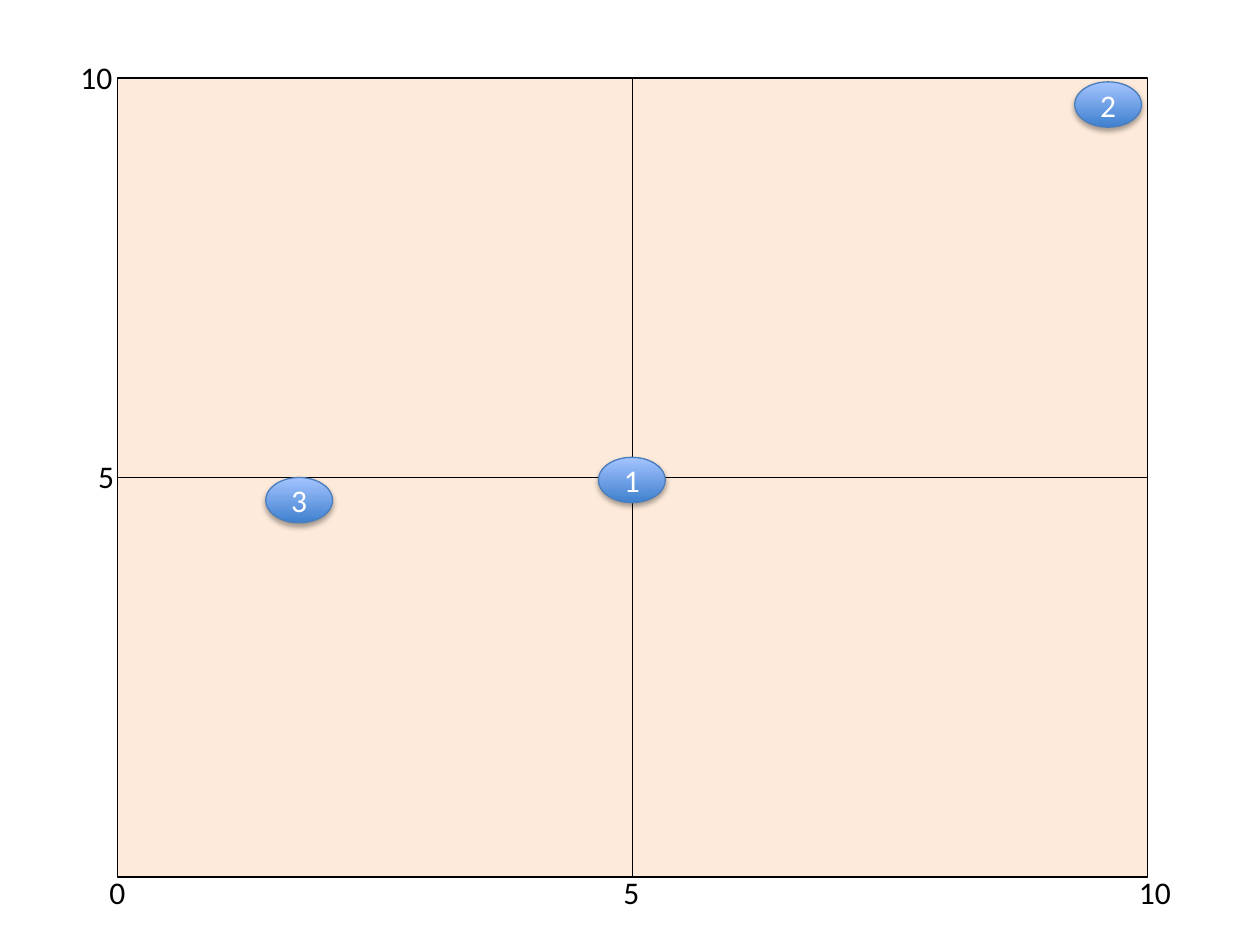
from lxml import etree
from pptx import Presentation
from pptx.dml.color import RGBColor
from pptx.enum import shapes, text
from pptx.oxml import ns
from pptx.util import Inches, Pt

BLACK = RGBColor(0x00, 0x00, 0x00)
WHITE = RGBColor(0xFF, 0xFF, 0xFF)
PEACH = RGBColor(0xFD, 0xEA, 0xDA)
DEEP_BLUE = RGBColor(0x3F, 0x80, 0xCE)
LIGHT_BLUE = RGBColor(0xA4, 0xC4, 0xFF)
EDGE_BLUE = RGBColor(0x4B, 0x7E, 0xBC)

GRID_LEFT, GRID_TOP = 0.93, 0.62
QUADRANT_WIDTH, QUADRANT_HEIGHT = 4.09, 3.17
MARKER_WIDTH, MARKER_HEIGHT = 0.53, 0.36
QUADRANTS = [(0, 0), (1, 1), (1, 0), (0, 1)]
AXIS_LABELS = [
    ("0", 0.77, 6.88),
    ("10", 8.94, 6.88),
    ("5", 4.85, 6.88),
    ("5", 0.68, 3.58),
    ("10", 0.54, 0.41),
]
MARKERS = [("2", 8.53, 0.65), ("1", 4.75, 3.63), ("3", 2.11, 3.79)]


def write(frame, wording, color=BLACK, size=18, font="Calibri",
          align=text.PP_ALIGN.LEFT, anchor=text.MSO_ANCHOR.TOP):
    frame.vertical_anchor = anchor
    paragraph = frame.paragraphs[0]
    paragraph.alignment = align
    run = paragraph.add_run()
    run.text = wording
    run.font.name = font
    run.font.size = Pt(size)
    run.font.color.rgb = color


def add_outlined(slide, preset, box, edge):
    outlined = slide.shapes.add_shape(preset, *map(Inches, box))
    outlined.shadow.inherit = False
    outlined.line.color.rgb = edge
    outlined.line.width = Pt(0.75)
    return outlined


def add_quadrant(slide, column, row):
    box = (GRID_LEFT + column * QUADRANT_WIDTH, GRID_TOP + row * QUADRANT_HEIGHT,
           QUADRANT_WIDTH, QUADRANT_HEIGHT)
    quadrant = add_outlined(slide, shapes.MSO_SHAPE.RECTANGLE, box, BLACK)
    quadrant.fill.solid()
    quadrant.fill.fore_color.rgb = PEACH


def add_axis_label(slide, value, left, top):
    width = 0.33 if len(value) == 1 else 0.46
    label = slide.shapes.add_textbox(*map(Inches, (left, top, width, 0.4)))
    label.text_frame.word_wrap = False
    label.text_frame.auto_size = text.MSO_AUTO_SIZE.SHAPE_TO_FIT_TEXT
    write(label.text_frame, value)


def add_drop_shadow(marker):
    effects = marker._element.spPr.find(ns.qn("a:effectLst"))
    shadow = etree.SubElement(
        effects, ns.qn("a:outerShdw"), blurRad=str(Pt(3.1)), dist=str(Pt(1.8)),
        dir="5400000", rotWithShape="0")
    tint = etree.SubElement(shadow, ns.qn("a:srgbClr"), val=str(BLACK))
    etree.SubElement(tint, ns.qn("a:alpha"), val="35000")


def add_marker(slide, number, left, top):
    box = (left, top, MARKER_WIDTH, MARKER_HEIGHT)
    marker = add_outlined(slide, shapes.MSO_SHAPE.OVAL, box, EDGE_BLUE)
    marker.fill.gradient()
    marker.fill.gradient_angle = 90
    for stop, position, color in zip(marker.fill.gradient_stops, (0, 1),
                                     (DEEP_BLUE, LIGHT_BLUE)):
        stop.position = position
        stop.color.rgb = color
    add_drop_shadow(marker)
    write(marker.text_frame, number, color=WHITE,
          align=text.PP_ALIGN.CENTER, anchor=text.MSO_ANCHOR.MIDDLE)


def main():
    deck = Presentation()
    deck.slide_width, deck.slide_height = Inches(10), Inches(7.5)
    slide = deck.slides.add_slide(deck.slide_layouts[6])
    for quadrant in QUADRANTS:
        add_quadrant(slide, *quadrant)
    for label in AXIS_LABELS:
        add_axis_label(slide, *label)
    for marker in MARKERS:
        add_marker(slide, *marker)
    deck.save("out.pptx")


main()
